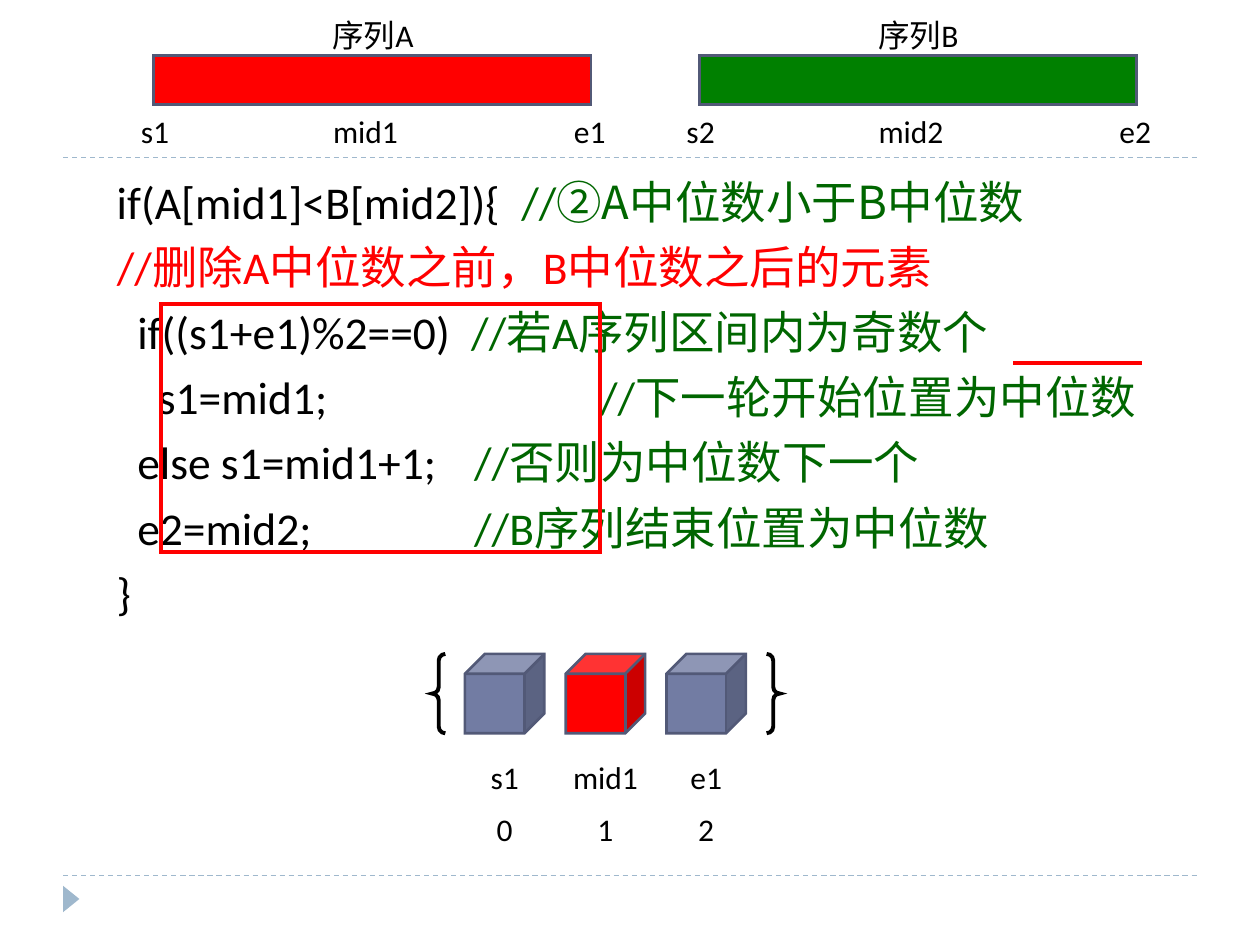
from pptx import Presentation
from pptx.dml.color import RGBColor
from pptx.enum import dml, shapes, text
from pptx.oxml.ns import qn
from pptx.util import Inches, Pt
from lxml import etree

# Content: each code line is a list of (text, style) runs
CODE = [
    [("    if(A[mid1]<B[mid2]){  ", "code"), ("//", "note"),
     ("②A", "note_sc"), ("中位数小于B中位数", "note_jp")],
    [("    ", "code"), ("//删除A中位数之前，B中位数之后的元素", "alert")],
    [("      if((s1+e1)%2==0)  ", "code"), ("//若A序列区间内为奇数个", "note")],
    [("        s1=mid1;\t\t  ", "code"), ("//下一轮开始位置为中位数", "note")],
    [("      else s1=mid1+1;\t  ", "code"), ("//否则为中位数下一个", "note")],
    [("      e2=mid2;\t\t  ", "code"), ("//B序列结束位置为中位数", "note")],
    [("    }", "code")],
]
BARS = [  # left, colour, name, marks
    (1.22, "red", "序列A", ("s1", "mid1", "e1")),
    (5.55, "green", "序列B", ("s2", "mid2", "e2")),
]
CUBES = [("s1", "0", "blue"), ("mid1", "1", "red"), ("e1", "2", "blue")]

THEME = {
    "font": "Calibri", "code_size": 26, "label_size": 18,
    "black": "000000", "red": "FF0000", "green": "008000",
    "blue": "727CA3", "edge": "525977", "rule": "9FB8CD",
}
STYLES = {  # colour, font
    "code": ("000000", "Calibri"),
    "alert": ("FF0000", "Calibri"),
    "note": ("006600", "Calibri"),
    "note_sc": ("006600", "Noto Sans CJK SC"),
    "note_jp": ("006600", "Noto Sans CJK JP"),
}
WIDTHS = {1: 0.34, 2: 0.48, 3: 0.94, 4: 0.75}  # label width by letters
KIND = shapes.MSO_SHAPE


def rgb(name):
    return RGBColor.from_string(THEME[name])


def shape(kind, x, y, w, h, fill=None, line=None, width=1.5):
    part = slide.shapes.add_shape(kind, Inches(x), Inches(y), Inches(w), Inches(h))
    part.shadow.inherit = False
    if fill:
        part.fill.solid()
        part.fill.fore_color.rgb = rgb(fill)
    else:
        part.fill.background()
    if line:
        part.line.color.rgb = rgb(line)
        part.line.width = Pt(width)
        edge = part._element.spPr.find(qn("a:ln"))
        etree.SubElement(edge, qn("a:miter"), lim="800000")
    else:
        part.line.fill.background()
    return part


def rule(x1, x2, y, color, width):
    part = slide.shapes.add_connector(
        shapes.MSO_CONNECTOR.STRAIGHT, Inches(x1), Inches(y), Inches(x2), Inches(y))
    part.line.color.rgb = rgb(color)
    part.line.width = Pt(width)
    etree.SubElement(part._element.spPr, qn("a:effectLst"))
    return part


def label(words, mid, y):
    w = WIDTHS[len(words)]
    box = slide.shapes.add_textbox(
        Inches(mid - w / 2), Inches(y), Inches(w), Inches(0.4))
    box.text_frame.word_wrap = False
    box.text_frame.auto_size = text.MSO_AUTO_SIZE.SHAPE_TO_FIT_TEXT
    para = box.text_frame.paragraphs[0]
    para.text = words
    para.alignment = text.PP_ALIGN.CENTER
    para.font.name = THEME["font"]
    para.font.size = Pt(THEME["label_size"])
    para.font.color.rgb = rgb("black")


def layout(para):
    """Remove the bullet and set a tab stop at every inch."""
    props = para._p.get_or_add_pPr()
    props.set("marL", "0")
    props.set("indent", "0")
    props.set("defTabSz", str(Inches(1)))
    etree.SubElement(props, qn("a:buNone"))
    tabs = etree.SubElement(props, qn("a:tabLst"))
    for n in range(8):
        etree.SubElement(tabs, qn("a:tab"), pos=str(Inches(n)), algn="l")


prs = Presentation()
prs.slide_width, prs.slide_height = Inches(10), Inches(7.5)
slide = prs.slides.add_slide(prs.slide_layouts[1])
title = slide.shapes.title._element
title.getparent().remove(title)

# Page rules and corner marker
for y in (6.95, 1.25):
    rule(0.5, 9.5, y, "rule", 0.75).line.dash_style = dml.MSO_LINE.DASH
shape(KIND.ISOSCELES_TRIANGLE, 0.46, 7.07, 0.21, 0.13, "rule").rotation = 90

# Code listing
body = slide.placeholders[1]
body.left, body.top = Inches(0.5), Inches(1.33)
body.width, body.height = Inches(9), Inches(5.4)
frame = body.text_frame
frame.auto_size = text.MSO_AUTO_SIZE.NONE
for i, runs in enumerate(CODE):
    para = frame.add_paragraph() if i else frame.paragraphs[0]
    layout(para)
    para.line_spacing = Pt(31.2)
    para.space_before = Pt(6 if i else 0)
    para.font.size = Pt(THEME["code_size"])
    for words, style in runs:
        run = para.add_run()
        run.text = words
        color, run.font.name = STYLES[style]
        run.font.color.rgb = RGBColor.from_string(color)

# Sequence bars with their marks
for left, color, name, marks in BARS:
    shape(KIND.RECTANGLE, left, 0.44, 3.47, 0.39, color, "edge")
    label(name, left + 1.74, 0.08)
    for step, mark in zip((0.01, 1.68, 3.46), marks):
        label(mark, left + step, 0.84)

# Highlights on the code
shape(KIND.RECTANGLE, 1.28, 2.41, 3.48, 1.97, None, "red", 2.25)
rule(8.04, 9.06, 2.88, "red", 2.25)

# Three-element example
side, gap = 0.63, 0.8
shape(KIND.DOUBLE_BRACE, 3.43, 5.19, 2.76, side, None, "black", 2.25)
for i, (mark, index, color) in enumerate(CUBES):
    x = 3.69 + i * gap
    shape(KIND.CUBE, x, 5.19, side, side, color, "edge")
    label(mark, x + side / 2, 5.97)
    label(index, x + side / 2, 6.38)

prs.save("out.pptx")
